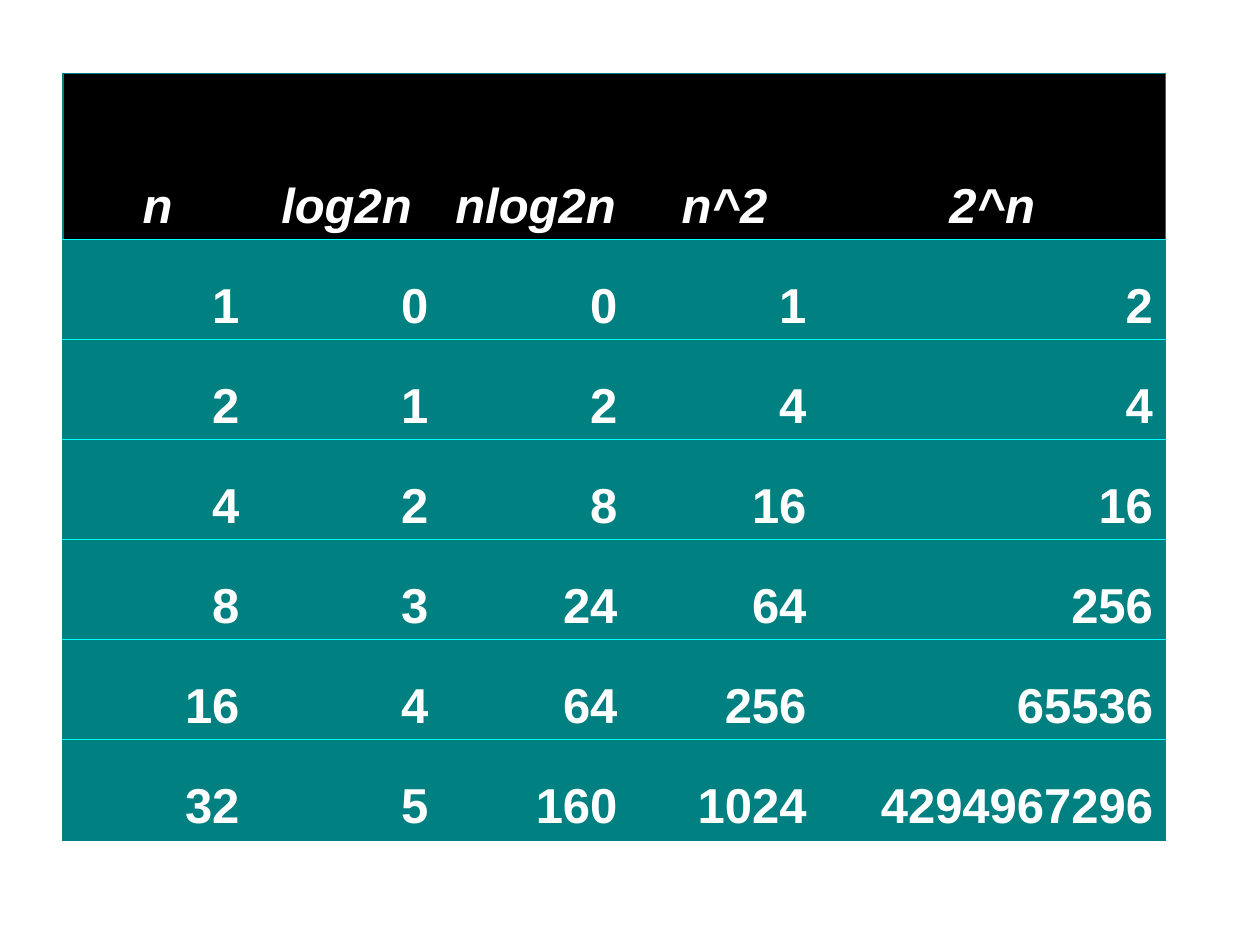
from lxml.etree import SubElement
from pptx import Presentation
from pptx.dml.color import RGBColor
from pptx.enum.text import MSO_ANCHOR, PP_ALIGN
from pptx.oxml.ns import qn
from pptx.util import Pt

BLACK = RGBColor(0x00, 0x00, 0x00)
WHITE = RGBColor(0xFF, 0xFF, 0xFF)
TEAL = RGBColor(0x00, 0x80, 0x80)
CYAN = RGBColor(0x00, 0xFF, 0xFF)

FRAME_LINE = (TEAL, 0.96)
ROW_LINE = (CYAN, 0.45)

COLUMN_WIDTHS = [108, 108, 108, 108, 198]
HEADER_HEIGHT = 95
ROW_HEIGHT = 57.15
HANGING_INDENT = 27

GROWTH_ROWS = [
    ["n", "log2n", "nlog2n", "n^2", "2^n"],
    ["1", "0", "0", "1", "2"],
    ["2", "1", "2", "4", "4"],
    ["4", "2", "8", "16", "16"],
    ["8", "3", "24", "64", "256"],
    ["16", "4", "64", "256", "65536"],
    ["32", "5", "160", "1024", "4294967296"],
]


def set_border(cell, side, line):
    """Draw one side of a cell, or clear it when line is None."""
    properties = cell._tc.get_or_add_tcPr()
    border = SubElement(properties, qn(f"a:ln{side}"))
    if line is None:
        border.set("w", "0")
        SubElement(border, qn("a:noFill"))
        return
    color, width = line
    border.set("w", str(int(Pt(width))))
    fill = SubElement(border, qn("a:solidFill"))
    SubElement(fill, qn("a:srgbClr")).set("val", str(color))


def write_cell(cell, text, is_header):
    cell.fill.solid()
    cell.fill.fore_color.rgb = BLACK if is_header else TEAL
    cell.vertical_anchor = MSO_ANCHOR.BOTTOM
    para = cell.text_frame.paragraphs[0]
    para.alignment = PP_ALIGN.CENTER if is_header else PP_ALIGN.RIGHT
    indent = int(Pt(HANGING_INDENT))
    properties = para._p.get_or_add_pPr()
    properties.set("marL", str(indent))
    properties.set("indent", str(-indent))
    span = para.add_run()
    span.text = text
    span.font.name = "Arial"
    span.font.size = Pt(28)
    span.font.bold = True
    span.font.italic = is_header
    span.font.color.rgb = WHITE


def add_growth_table(page):
    row_count, column_count = len(GROWTH_ROWS), len(COLUMN_WIDTHS)
    heights = [HEADER_HEIGHT] + [ROW_HEIGHT] * (row_count - 1)
    table = page.shapes.add_table(
        row_count, column_count, Pt(36), Pt(42),
        Pt(sum(COLUMN_WIDTHS)), Pt(sum(heights))).table
    table.first_row = False
    table.horz_banding = False
    for column, width in zip(table.columns, COLUMN_WIDTHS):
        column.width = Pt(width)

    for r, (values, height) in enumerate(zip(GROWTH_ROWS, heights)):
        table.rows[r].height = Pt(height)
        for c, text in enumerate(values):
            cell = table.cell(r, c)
            # Teal frame outside, cyan lines between rows, none between columns
            set_border(cell, "L", FRAME_LINE if c == 0 else None)
            set_border(cell, "R", FRAME_LINE if c == column_count - 1 else None)
            set_border(cell, "T", FRAME_LINE if r == 0 else ROW_LINE)
            set_border(cell, "B", FRAME_LINE if r == row_count - 1 else ROW_LINE)
            write_cell(cell, text, is_header=r == 0)


def main():
    deck = Presentation()
    deck.slide_width, deck.slide_height = Pt(720), Pt(540)
    # The slide has no title, so the blank layout fits
    page = deck.slides.add_slide(deck.slide_layouts[6])
    add_growth_table(page)
    deck.save("out.pptx")


if __name__ == "__main__":
    main()
